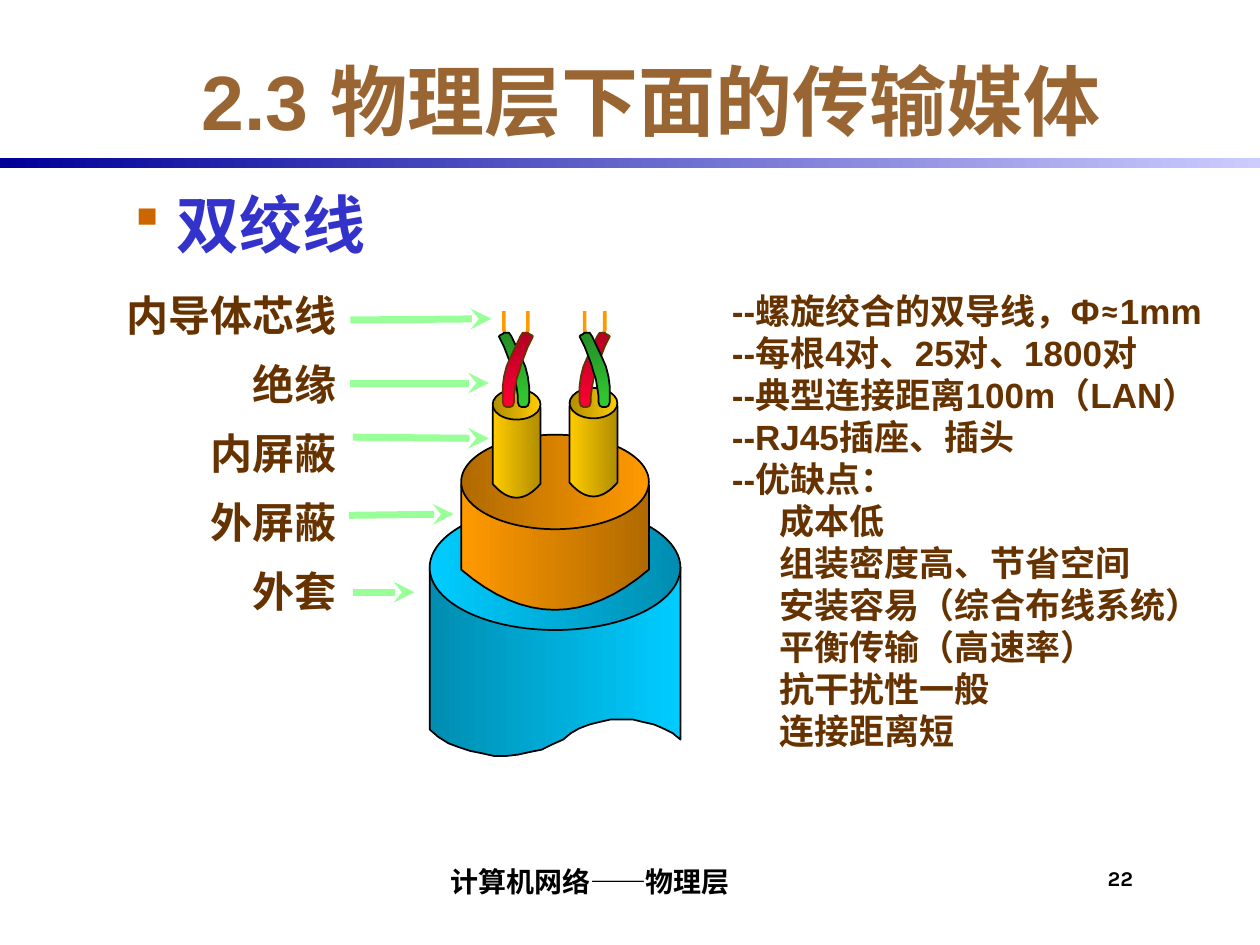
from lxml.etree import SubElement
from pptx import Presentation
from pptx.dml.color import RGBColor
from pptx.enum.shapes import MSO_CONNECTOR as CONN, MSO_SHAPE as SHAPE
from pptx.enum.text import MSO_ANCHOR as ANCHOR, PP_ALIGN as ALIGN
from pptx.oxml.ns import qn
from pptx.util import Inches, Pt

COLS, ROWS = 10, 7.5
CELL = Inches(1)
BROWN = "663300"
INSETS = (0.1, 0.05, 0.1, 0.05)

LABELS = ["内导体芯线", "绝缘", "内屏蔽", "外屏蔽", "外套"]
ARROWS = [(0.01, 0.23, 1.13, 0.22), (0.01, 0.73, 1.11, 0.73), (0.03, 1.16, 1.11, 1.17),
          (0, 1.78, 0.83, 1.77), (0.03, 2.39, 0.52, 2.39)]
FACTS = ["--螺旋绞合的双导线，Φ≈1mm", "--每根4对、25对、1800对", "--典型连接距离100m（LAN）",
         "--RJ45插座、插头", "--优缺点："]
TRAITS = ["成本低", "组装密度高、节省空间", "安装容易（综合布线系统）",
          "平衡传输（高速率）", "抗干扰性一般", "连接距离短"]
FIRST_FACT = [("--", "Arial"), ("螺旋绞合的双导线，", "Lato"), ("Φ", "Arial"),
              ("≈", "Lato"), ("1mm", "Arial")]

WAVE = [(0, 1.29), (0.07, 1.35), (0.15, 1.4), (0.23, 1.43), (0.32, 1.46), (0.42, 1.48),
        (0.51, 1.5), (0.61, 1.5), (0.7, 1.49), (0.79, 1.47), (0.89, 1.45), (0.97, 1.41),
        (1.06, 1.37), (1.12, 1.32), (1.19, 1.28), (1.27, 1.25), (1.35, 1.23), (1.44, 1.21),
        (1.52, 1.21), (1.61, 1.21), (1.69, 1.23), (1.78, 1.25), (1.85, 1.28), (1.93, 1.32),
        (1.99, 1.37)]
CONDUCTOR = [(0.16, 0.75), (0.16, 0.62), (0.15, 0.56), (0.14, 0.5), (0.12, 0.44), (0.1, 0.39),
             (0.04, 0.27), (0.02, 0.21), (0, 0.15), (0, 0)]
INSULATION = [(0, 0.17), (0.04, 0.17), (0.06, 0.2), (0.14, 0.37), (0.17, 0.44), (0.19, 0.52),
              (0.2, 0.6), (0.2, 0.72), (0.19, 0.75), (0.17, 0.76), (0.14, 0.76), (0.12, 0.75),
              (0.11, 0.72), (0.11, 0.67), (0.1, 0.6), (0.09, 0.54), (0.07, 0.48), (0.05, 0.41),
              (0, 0.28), (-0.03, 0.22), (-0.04, 0.2), (-0.03, 0.19), (-0.01, 0.18)]
GREEN = (("238D23", "33CC33"), "000000")
RED = (("B10023", "FF0033"), BROWN)


def rgb(value):
    return RGBColor.from_string(value)


def grid(*lengths):
    return [int(CELL * n) for n in lengths]


def paint(sp, stops=None, angle=180, line=None, width=1):
    sp.shadow.inherit = False
    if stops:
        sp.fill.gradient()
        sp.fill.gradient_angle = angle
        for stop, color in zip(sp.fill.gradient_stops, stops):
            stop.color.rgb = rgb(color)
    else:
        sp.fill.background()
    if line:
        sp.line.color.rgb = rgb(line)
        sp.line.width = Pt(width)
    else:
        sp.line.fill.background()


def style(font, name, size, color):
    font.name, font.size, font.bold = name, Pt(size), True
    font.color.rgb = rgb(color)


def textbox(s, box, text, font, align=ALIGN.LEFT, anchor=ANCHOR.TOP, insets=INSETS):
    tf = s.shapes.add_textbox(*grid(*box)).text_frame
    tf.word_wrap = True
    tf.vertical_anchor = anchor
    tf.margin_left, tf.margin_top, tf.margin_right, tf.margin_bottom = grid(*insets)
    tf.text = text
    for p in tf.paragraphs:
        p.alignment = align
        for r in p.runs:
            style(r.font, *font)
    return tf


def outline(s, origin, points, closed=True):
    x, y = origin
    pts = [grid(x + dx, y + dy) for dx, dy in points]
    builder = s.shapes.build_freeform(*pts[0])
    builder.add_line_segments(pts[1:], close=closed)
    return builder.convert_to_shape()


def header(s, box):
    x, y, w, h = box
    bar = s.shapes.add_shape(SHAPE.RECTANGLE, *grid(x, y + h, w, 0.08))
    paint(bar, ("CCCCFF", "000099"))
    textbox(s, (x + 0.92, y + 0.33, 8.5, h - 0.33), "2.3 物理层下面的传输媒体",
            ("Arial", 44, "996633"), ALIGN.CENTER, ANCHOR.MIDDLE)


def topic(s, box):
    tf = textbox(s, box, "双绞线", ("Arial", 36, "3333CC"))
    pPr = tf.paragraphs[0]._p.get_or_add_pPr()
    indent = int(CELL * 0.38)
    pPr.set("marL", str(indent))
    pPr.set("indent", str(-indent))
    SubElement(SubElement(pPr, qn("a:buClr")), qn("a:srgbClr"), val="CC6600")
    SubElement(pPr, qn("a:buSzPct"), val="80000")
    SubElement(pPr, qn("a:buChar"), char="▪")


def sag(width, side, depth, steps=16):
    shares = [i / steps for i in range(steps + 1)]
    return [(width * t, side + 4 * depth * t * (1 - t)) for t in shares]


def cylinder(s, box, edge, rim_height, rim_rise, stops):
    x, y, w = box
    body = outline(s, (x, y), edge + [(w, 0), (0, 0)])
    rim = s.shapes.add_shape(SHAPE.OVAL, *grid(x, y - rim_rise, w, rim_height))
    paint(body, stops, line="000000")
    paint(rim, stops[::-1], line="000000")


def wire(s, origin, look, mirrored):
    def turn(points):
        return [(0.16 - x, y) for x, y in points] if mirrored else points

    stops, line = look
    paint(outline(s, origin, turn(CONDUCTOR), False), line="FF9900", width=2)
    paint(outline(s, origin, turn(INSULATION)), stops, 270, line)


def cable(s, box):
    x, y, w, h = box
    cylinder(s, (x, y + 2.03, w), WAVE, 0.99, 0.49, ("00CCFF", "008DB1"))
    cylinder(s, (x + 0.25, y + 1.38, 1.49), sag(1.49, 0.67, 0.32), 0.75, 0.4,
             ("B16A00", "FF9900"))
    for dx, dy in ((1.11, 0.75), (0.5, 0.76)):
        cylinder(s, (x + dx, y + dy, 0.38), sag(0.38, 0.61, 0.11), 0.24, 0.14,
                 ("B18D00", "FFCC00"))
    for dx, look in ((0.59, GREEN), (0.62, RED), (1.23, RED), (1.23, GREEN)):
        wire(s, (x + dx, y), look, look is RED)


def arrow(s, start, end):
    line = s.shapes.add_connector(CONN.STRAIGHT, *grid(*start, *end))
    line.line.color.rgb = rgb("99FF99")
    line.line.width = Pt(4)
    SubElement(line.line._get_or_add_ln(), qn("a:tailEnd"), type="stealth")
    SubElement(line._element.spPr, qn("a:effectLst"))


def labels(s, box):
    x, y, w, h = box
    tf = textbox(s, box, "\n".join(LABELS), ("Arial Narrow", 24, BROWN), ALIGN.RIGHT)
    for i, p in enumerate(tf.paragraphs):
        p.line_spacing = 0.85
        p.space_before = Pt(15 if i else 0)
    for x1, y1, x2, y2 in ARROWS:
        arrow(s, (x + w + x1, y + y1), (x + w + x2, y + y2))


def facts(s, box):
    font = ("Arial", 20, BROWN)
    tf = textbox(s, box, "\n".join(FACTS + TRAITS), font)
    first = tf.paragraphs[0]
    first.text = ""
    for text, name in FIRST_FACT:
        r = first.add_run()
        r.text = text
        style(r.font, name, *font[1:])
    for p in tf.paragraphs[len(FACTS):]:
        p._p.get_or_add_pPr().set("marL", str(int(CELL * 0.38)))


def footer(s, box):
    x, y, w, h = box
    font = ("Karla", 16, "000000")
    textbox(s, (x + 2.08, y, 5.17, 0.42), "计算机网络——物理层", font,
            ALIGN.CENTER, ANCHOR.BOTTOM, (0.04, 0, 0, 0.04))
    textbox(s, (x + 8.75, y + 0.08, 0.58, 0.42), "22", ("Karla", 12, "000000"),
            insets=(0.04, 0.04, 0, 0))


def main():
    prs = Presentation()
    prs.slide_width, prs.slide_height = grid(COLS, ROWS)
    s = prs.slides.add_slide(prs.slide_layouts[6])
    header(s, (0, 0, COLS, 1.25))
    topic(s, (0.92, 1.42, 8.5, 5))
    cable(s, (3.41, 2.47, 1.99, 3.53))
    labels(s, (0.59, 2.31, 2.18, 2.64))
    facts(s, (5.71, 2.25, 4.08, 4.44))
    footer(s, (0, 6.75, COLS, 0.75))
    prs.save("out.pptx")


if __name__ == "__main__":
    main()
